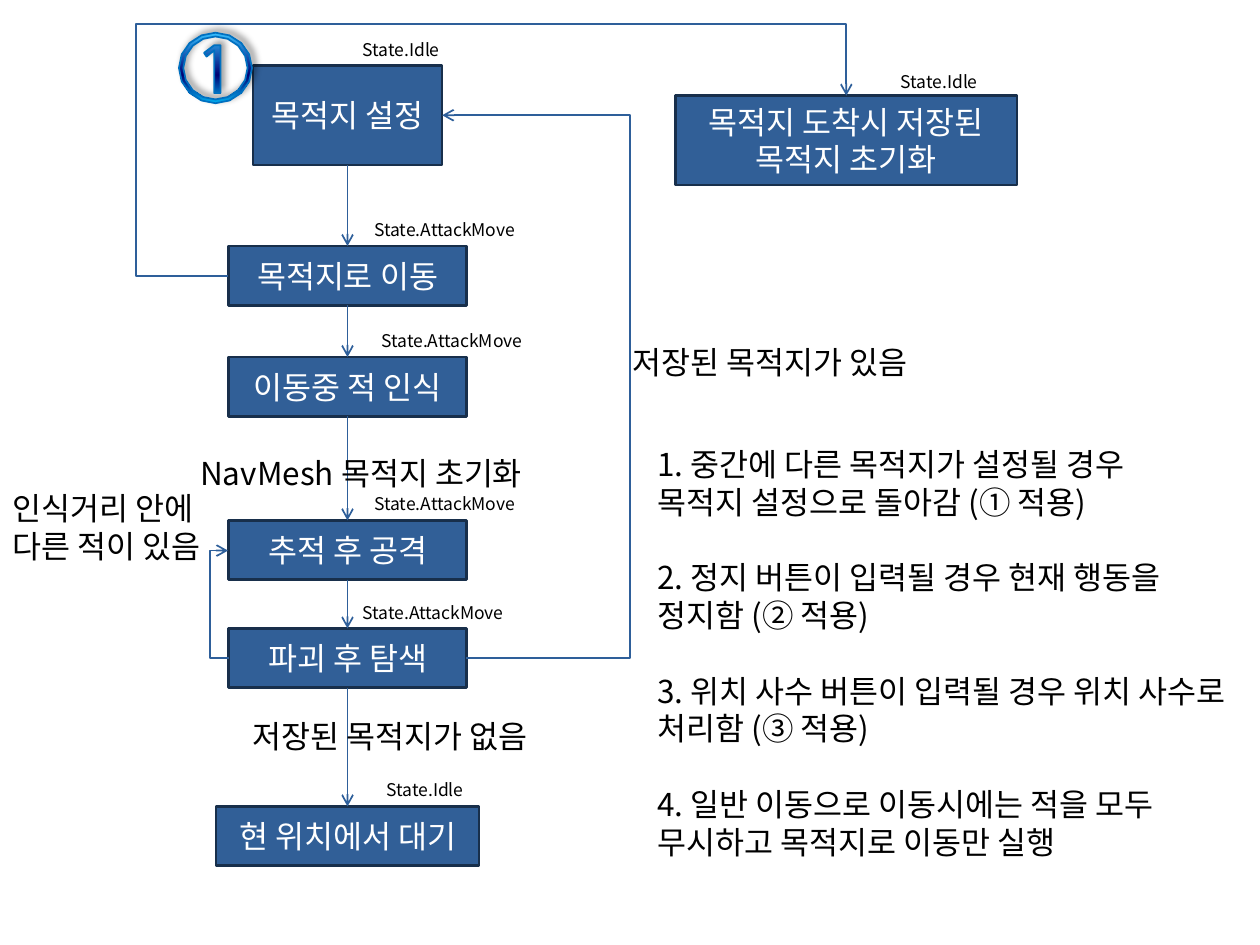
"""Build a flow chart slide of unit states on a grid of 100 columns by 75 rows."""
from dataclasses import dataclass
from math import cos, pi, sin

from lxml import etree
from pptx import Presentation
from pptx import util as u
from pptx.dml.color import RGBColor
from pptx.enum import shapes, text
from pptx.oxml import parse_xml
from pptx.oxml.ns import nsdecls, qn

FONT = "Noto Sans CJK KR"
HUES = {"box": "315F97", "edge": "182F4B", "line": "2E5F9A", "ring": "0070C0",
        "ink": "000000", "paper": "FFFFFF"}
GLOW = {0: "36C0FF", 60000: "000173", 100000: "00B0F0"}
CELL = u.Inches(0.1)
AXIS = 27.58


@dataclass
class Box:
    mid: float
    top: float
    wide: float
    high: float
    words: str


@dataclass
class Label:
    left: float
    top: float
    wide: float
    high: float
    words: str
    size: int = 18


@dataclass
class Link:
    start: tuple[float, float]
    end: tuple[float, float]
    bends: tuple[float, ...] = ()


STEPS = [
    Box(AXIS, 5.2, 15, 7.9, "목적지 설정"),
    Box(AXIS, 19.53, 18.9, 4.7, "목적지로 이동"),
    Box(AXIS, 28.34, 18.9, 4.7, "이동중 적 인식"),
    Box(AXIS, 41.3, 18.9, 4.7, "추적 후 공격"),
    Box(AXIS, 49.88, 18.9, 4.7, "파괴 후 탐색"),
    Box(AXIS, 64, 20.9, 4.7, "현 위치에서 대기"),
]
GOAL = Box(67.17, 7.6, 27.1, 7.1, "목적지 도착시 저장된 목적지 초기화")

LOOPS = [
    Link((18.2, 52.2), (18.1, 43.7), (16.65,)),
    Link((37, 52.2), (35.1, 9.15), (50,)),
    Link((18.1, 21.9), (67.17, 7.6), (10.8, 1.9)),
]

STATES = [(27.8, 2.6, "Idle"), (28.73, 16.9, "AttackMove"), (29.3, 25.7, "AttackMove"),
          (28.73, 38.7, "AttackMove"), (27.8, 47.3, "AttackMove"), (29.7, 61.4, "Idle"),
          (70.5, 5.2, "Idle")]

LABELS = [
    Label(0, 38.3, 18.1, 7, "인식거리 안에\n다른 적이 있음"),
    Label(49.2, 26.7, 25.4, 4, "저장된 목적지가 있음"),
    Label(14.9, 35.5, 28.8, 4, "NavMesh 목적지 초기화"),
    Label(19.1, 56.4, 25.4, 4, "저장된 목적지가 없음"),
]

NOTES = Label(51.2, 34.8, 48.8, 34, "\n".join([
    "1. 중간에 다른 목적지가 설정될 경우",
    "목적지 설정으로 돌아감 (① 적용)",
    "2. 정지 버튼이 입력될 경우 현재 행동을 정지함 (② 적용)",
    "3. 위치 사수 버튼이 입력될 경우 위치 사수로 처리함 (③ 적용)",
    "4. 일반 이동으로 이동시에는 적을 모두 무시하고 목적지로 이동만 실행",
]))


def grid(*cells: float) -> list[int]:
    return [round(c * CELL) for c in cells]


def hue(name: str) -> RGBColor:
    return RGBColor.from_string(HUES[name])


def write(shape, words: str, size: int, ink: str, align) -> None:
    frame = shape.text_frame
    frame.text = words
    frame.vertical_anchor = text.MSO_ANCHOR.MIDDLE
    for para in frame.paragraphs:
        para.alignment = align
        para.line_spacing = u.Pt(size * 1.2)
        for run in para.runs:
            run.font.size, run.font.name = u.Pt(size), FONT
            run.font.color.rgb = hue(ink)
            etree.SubElement(run.font._element, qn("a:ea"), typeface=FONT)


def draw_box(slide, box: Box) -> None:
    spot = grid(box.mid - box.wide / 2, box.top, box.wide, box.high)
    shape = slide.shapes.add_shape(shapes.MSO_SHAPE.RECTANGLE, *spot)
    shape.shadow.inherit = False
    shape.fill.solid()
    shape.fill.fore_color.rgb = hue("box")
    shape.line.color.rgb, shape.line.width = hue("edge"), u.Pt(1.5)
    shape.text_frame.word_wrap = True
    write(shape, box.words, 18, "paper", text.PP_ALIGN.CENTER)


def draw_label(slide, label: Label, wrap: bool = False):
    shape = slide.shapes.add_textbox(*grid(label.left, label.top, label.wide, label.high))
    shape.text_frame.word_wrap = wrap
    write(shape, label.words, label.size, "ink", text.PP_ALIGN.LEFT)
    return shape


def draw_link(slide, link: Link) -> None:
    kind = shapes.MSO_CONNECTOR.ELBOW if link.bends else shapes.MSO_CONNECTOR.STRAIGHT
    wire = slide.shapes.add_connector(kind, *grid(*link.start, *link.end))
    wire.line.color.rgb, wire.line.width = hue("line"), u.Pt(1)
    props = wire._element.spPr
    etree.SubElement(props.find(qn("a:ln")), qn("a:tailEnd"), type="arrow")
    etree.SubElement(props, qn("a:effectLst"))
    if link.bends:
        geom = props.find(qn("a:prstGeom"))
        geom.set("prst", f"bentConnector{len(link.bends) + 2}")
        guides = geom.get_or_add_avLst()
        for i, (bend, a, b) in enumerate(zip(link.bends, link.start, link.end), 1):
            share = round((bend - a) / (b - a) * 100000)
            etree.SubElement(guides, qn("a:gd"), name=f"adj{i}", fmla=f"val {share}")


def oval(wide: float, high: float, count: int = 16) -> list[tuple[float, float]]:
    turns = [2 * pi * i / count for i in range(count)]
    return [(17.1 + wide * cos(t), 5.4 + high * sin(t)) for t in turns]


def draw_badge(slide) -> None:
    digit = [(17.5, 7.4), (17, 7.4), (17, 4), (16.4, 4.5), (16.2, 4.2), (17, 3.6), (17.5, 3.6)]
    first, *rest = [[grid(*p) for p in ring]
                    for ring in (oval(2.9, 2.8), oval(2.55, 2.5), digit)]
    pen = slide.shapes.build_freeform(*first[0])
    pen.add_line_segments(first[1:], close=True)
    for ring in rest:
        pen.move_to(*ring[0])
        pen.add_line_segments(ring[1:], close=True)
    badge = pen.convert_to_shape()
    badge.fill.gradient()
    badge.fill.gradient_angle = 270
    stops = badge._element.spPr.find(qn("a:gradFill")).find(qn("a:gsLst"))
    for stop in list(stops):
        stops.remove(stop)
    for place, tint in GLOW.items():
        stop = etree.SubElement(stops, qn("a:gs"), pos=str(place))
        etree.SubElement(stop, qn("a:srgbClr"), val=tint)
    badge.line.color.rgb, badge.line.width = hue("ring"), u.Pt(1)
    badge.shadow.inherit = False
    badge._element.spPr.find(qn("a:effectLst")).append(parse_xml(
        f'<a:outerShdw {nsdecls("a")} blurRad="{u.Pt(4)}" dist="{u.Pt(3)}" dir="18900000">'
        f'<a:srgbClr val="{HUES["ink"]}"><a:alpha val="40000"/></a:srgbClr></a:outerShdw>'))


def main() -> None:
    deck = Presentation()
    deck.slide_width, deck.slide_height = grid(100, 75)
    slide = deck.slides.add_slide(deck.slide_layouts[6])
    for box in [*STEPS, GOAL]:
        draw_box(slide, box)
    falls = [Link((AXIS, a.top + a.high), (AXIS, b.top)) for a, b in zip(STEPS, STEPS[1:])]
    for link in falls + LOOPS:
        draw_link(slide, link)
    tags = [Label(x, y, 8.2 if name == "Idle" else 13.3, 2.6, f"State.{name}", 10)
            for x, y, name in STATES]
    for label in LABELS + tags:
        draw_label(slide, label)
    notes = draw_label(slide, NOTES, wrap=True)
    for para in notes.text_frame.paragraphs[2:]:
        para.space_before = u.Pt(21.6)
    draw_badge(slide)
    deck.save("out.pptx")


if __name__ == "__main__":
    main()
